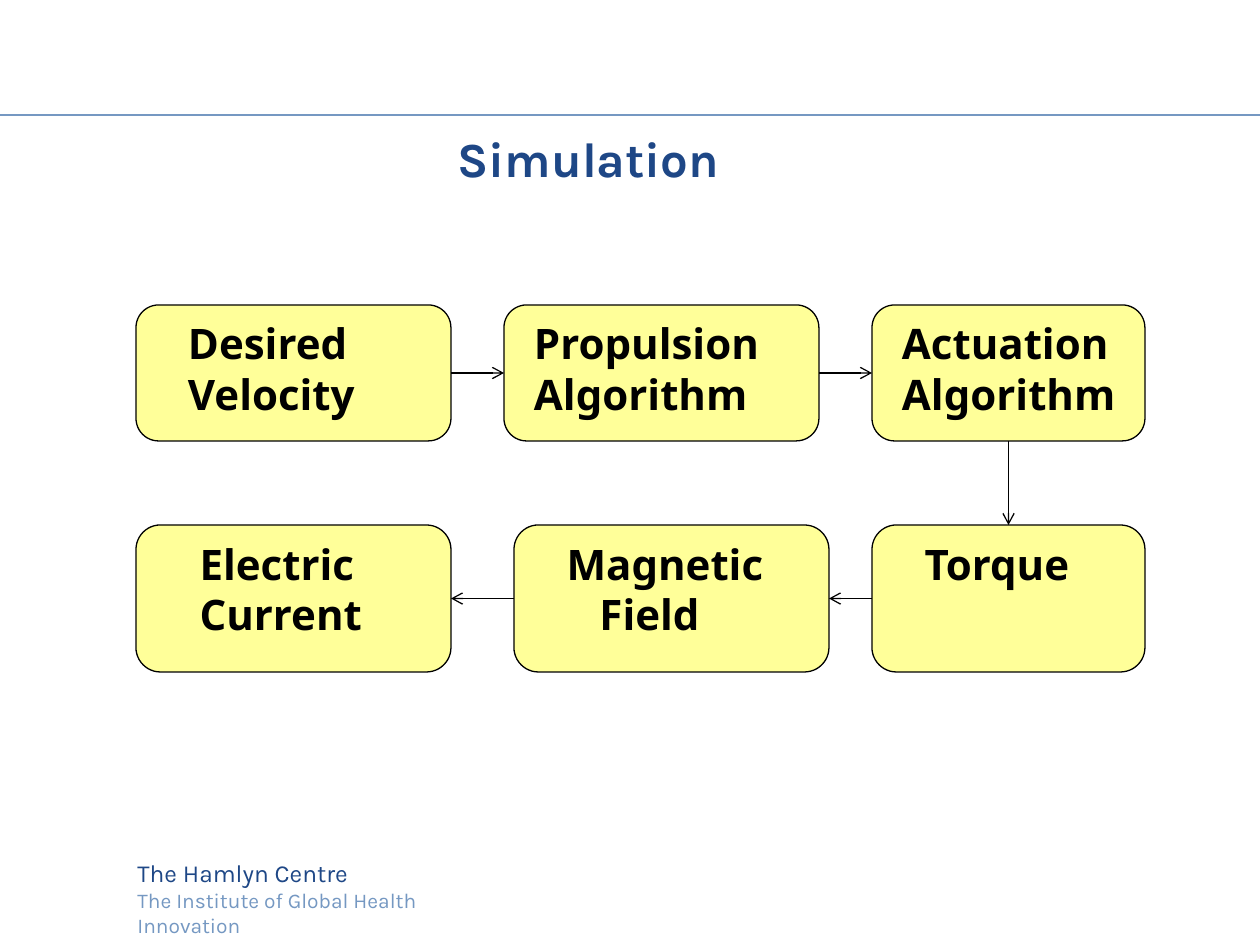
from pptx import Presentation
from pptx import util as u
from pptx.dml import color
from pptx.enum import shapes, text
from pptx.oxml.ns import qn
from lxml import etree

PX = 914400 / 126
INK, NAVY, SKY, YELLOW = "000000", "1E4786", "7598C2", "FFFF99"
TOP, LEFT, BOTTOM, RIGHT = range(4)
SPACE = 11


def px(length):
    return u.Emu(round(length * PX))


def rgb(code):
    return color.RGBColor.from_string(code)


def write(paragraph, content, font="Karla", size=12, ink=INK, bold=False, indent=0):
    properties = paragraph._p.get_or_add_pPr()
    properties.set("marL", str(px(indent)))
    properties.set("indent", "0")
    paragraph.alignment = text.PP_ALIGN.LEFT
    run = paragraph.add_run()
    run.text = content
    run.font.name = font
    run.font.size = u.Pt(size)
    run.font.bold = bold
    run.font.color.rgb = rgb(ink)


def write_lines(frame, lines):
    for number, (content, style) in enumerate(lines):
        paragraph = frame.add_paragraph() if number else frame.paragraphs[0]
        write(paragraph, content, **style)


def add_rule(slide, start, end, ink=INK):
    rule = slide.shapes.add_connector(
        shapes.MSO_CONNECTOR.STRAIGHT, *map(px, start + end))
    rule.line.color.rgb = rgb(ink)
    rule.line.width = u.Pt(0.75)
    etree.SubElement(rule._element.spPr, qn("a:effectLst"))
    return rule


def add_arrow(slide, source, source_side, target, target_side):
    arrow = add_rule(slide, (0, 0), (0, 0))
    arrow.begin_connect(source, source_side)
    arrow.end_connect(target, target_side)
    etree.SubElement(arrow.line._get_or_add_ln(), qn("a:tailEnd"), type="arrow")


def add_heading(slide, left, top, width, height):
    heading = slide.shapes.title
    heading.left, heading.top, heading.width, heading.height = map(
        px, (left, top, width, height))
    heading.text_frame.vertical_anchor = text.MSO_ANCHOR.MIDDLE
    write(heading.text_frame.paragraphs[0], "Simulation",
          size=28, ink=NAVY, bold=True, indent=413)


def add_step(slide, left, top, width, height, lines):
    step = slide.shapes.add_shape(
        shapes.MSO_SHAPE.ROUNDED_RECTANGLE, *map(px, (left, top, width, height)))
    step.shadow.inherit = False
    step.fill.solid()
    step.fill.fore_color.rgb = rgb(YELLOW)
    step.line.color.rgb = rgb(INK)
    step.line.width = u.Pt(0.75)
    step.text_frame.word_wrap = True
    step.text_frame.vertical_anchor = text.MSO_ANCHOR.TOP
    write_lines(step.text_frame, [
        (content, dict(font="Noto Sans", size=24, bold=True, indent=spaces * SPACE))
        for content, spaces in lines])
    return step


def add_flow(slide, left, top):
    upper, lower = (top, 136), (top + 220, 147)
    plan = [
        (0, 315, upper, [("Desired", 3), ("Velocity", 3)]),
        (368, 315, upper, [("Propulsion", 1), ("Algorithm", 1)]),
        (736, 273, upper, [("Actuation", 1), ("Algorithm", 1)]),
        (736, 273, lower, [("Torque", 3)]),
        (378, 315, lower, [("Magnetic", 3), ("Field", 6)]),
        (0, 315, lower, [("Electric", 4), ("Current", 4)]),
    ]
    steps = [add_step(slide, left + offset, row, width, height, lines)
             for offset, width, (row, height), lines in plan]
    sides = [(RIGHT, LEFT), (RIGHT, LEFT), (BOTTOM, TOP), (LEFT, RIGHT), (LEFT, RIGHT)]
    for source, target, (leaving, entering) in zip(steps, steps[1:], sides):
        add_arrow(slide, source, leaving, target, entering)


def add_affiliation(slide, left, top, width, height):
    affiliation = slide.shapes.add_textbox(*map(px, (left, top, width, height)))
    affiliation.text_frame.word_wrap = True
    write_lines(affiliation.text_frame, [
        ("The Hamlyn Centre", dict(size=14, ink=NAVY)),
        ("The Institute of Global Health Innovation", dict(ink=SKY)),
    ])


def main():
    deck = Presentation()
    deck.slide_width, deck.slide_height = px(1260), px(945)
    slide = deck.slides.add_slide(deck.slide_layouts[5])
    add_rule(slide, (0, 115), (1260, 115), SKY)
    add_affiliation(slide, 125, 852, 408, 68)
    add_heading(slide, 32, 116, 1134, 84)
    add_flow(slide, 136, 305)
    deck.save("out.pptx")


if __name__ == "__main__":
    main()
